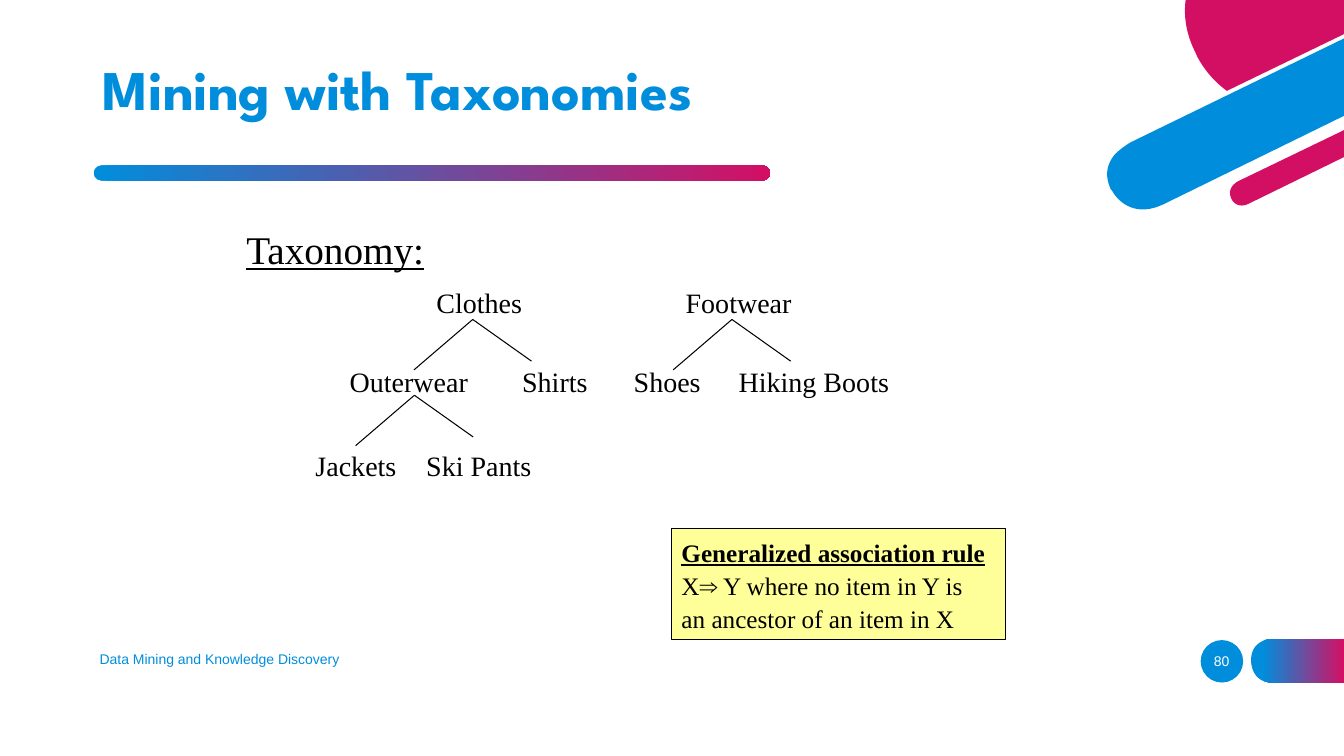
import pptx
import pptx.dml.color
import pptx.enum.shapes
import pptx.enum.text
import pptx.oxml
import pptx.oxml.ns
import pptx.util
from pptx.util import Cm

THEME = {
    "blue": "008EDC", "pink": "D30F64", "white": "FFFFFF",
    "black": "000000", "note": "FFFF99",
    "title_font": "League Spartan", "footer_font": "Arial",
    "body_font": "Times New Roman",
    "title": 40, "heading": 28, "node": 20, "rule": 18, "footer": 10,
    "hairline": 0.75,
}
ALIGN = pptx.enum.text.PP_ALIGN
SHAPES = pptx.enum.shapes.MSO_SHAPE


def paint(shape, fill, gradient_start=None):
    shape.shadow.inherit = False
    shape.line.fill.background()
    if gradient_start is None:
        shape.fill.solid()
        shape.fill.fore_color.rgb = pptx.dml.color.RGBColor.from_string(THEME[fill])
        return
    shape.fill.gradient()
    shape.fill.gradient_angle = 0
    for stop, colour, position in zip(
        shape.fill.gradient_stops, ("blue", "pink"), (gradient_start, 1)
    ):
        stop.color.rgb = pptx.dml.color.RGBColor.from_string(THEME[colour])
        stop.position = position


def write(shape, text, size, font, colour="black", align=ALIGN.LEFT, wrap=False, spacing=1.0):
    frame = shape.text_frame
    frame.text = text
    frame.word_wrap = wrap
    frame.vertical_anchor = pptx.enum.text.MSO_ANCHOR.MIDDLE
    for paragraph in frame.paragraphs:
        paragraph.alignment = align
        paragraph.line_spacing = spacing
        for run in paragraph.runs:
            run.font.size = pptx.util.Pt(THEME[size])
            run.font.name = THEME[font]
            run.font.color.rgb = pptx.dml.color.RGBColor.from_string(THEME[colour])
    return frame.paragraphs[0].runs[0].font


deck = pptx.Presentation()
deck.slide_width = Cm(33.86)
deck.slide_height = Cm(19.05)
slide = deck.slides.add_slide(deck.slide_layouts[6])
shapes = slide.shapes

page_disc = shapes.add_shape(SHAPES.OVAL, Cm(30.25), Cm(16.13), Cm(1.07), Cm(1.07))
paint(page_disc, "blue")

outlines = [
    ("gradient", (32.05, 17.2), [
        (33.86, 17.2), (33.86, 16.1), (32.05, 16.1),
        (32.05, 16.1, 31.52, 16.1, 31.52, 16.64), (31.52, 16.66),
        (31.52, 16.66, 31.52, 17.2, 32.05, 17.2)]),
    ("blue", (28.5, 3.58), [
        (33.86, 0.97), (33.86, 2.92), (29.29, 5.16),
        (28.42, 5.56, 28.02, 4.83, 28.02, 4.8), (27.99, 4.78),
        (27.84, 4.45, 27.86, 4.17, 28.09, 3.89),
        (28.27, 3.71, 28.5, 3.58, 28.5, 3.58)]),
    ("pink", (30.16, 1.42), [
        (30.16, 1.42, 30.4, 1.93, 30.91, 2.29),
        (33.86, 0.86), (33.86, 0), (29.87, 0),
        (29.82, 0.38, 29.87, 0.84, 30.12, 1.33)]),
    ("pink", (31.47, 5.13), [
        (31.17, 5.28, 31.04, 5.05, 31.03, 5.02), (31.02, 5),
        (30.89, 4.72, 31.19, 4.57, 31.19, 4.57),
        (33.86, 3.28), (33.86, 3.96)]),
]
CURVE_STEPS = 16
for fill, start, segments in outlines:
    points = [start]
    for segment in segments:
        if len(segment) == 2:
            points.append(segment)
            continue
        handles = points[-1] + segment
        for step in range(1, CURVE_STEPS + 1):
            t = step / CURVE_STEPS
            weights = ((1 - t) ** 3, 3 * t * (1 - t) ** 2, 3 * t * t * (1 - t), t ** 3)
            points.append(tuple(
                sum(w * v for w, v in zip(weights, handles[axis::2])) for axis in (0, 1)
            ))
    corners = [(Cm(x), Cm(y)) for x, y in points]
    builder = shapes.build_freeform(*corners[0])
    builder.add_line_segments(corners[1:], close=True)
    paint(builder.convert_to_shape(), fill, 0.12 if fill == "gradient" else None)

divider = shapes.add_shape(SHAPES.ROUNDED_RECTANGLE, Cm(2.36), Cm(4.17), Cm(17.04), Cm(0.38))
divider.adjustments[0] = 0.5
paint(divider, "gradient", 0)

footer = shapes.add_textbox(Cm(2.26), Cm(16.1), Cm(11.43), Cm(1.02))
write(footer, "Data Mining and Knowledge Discovery", "footer", "footer_font", "blue", wrap=True)
page_number = shapes.add_textbox(Cm(30.02), Cm(16.15), Cm(1.52), Cm(1.02))
write(page_number, "80", "footer", "footer_font", "white", ALIGN.CENTER, True)

title = shapes.add_textbox(Cm(2.34), Cm(1.02), Cm(25.15), Cm(2.62))
write(title, "Mining with Taxonomies", "title", "title_font", "blue", wrap=True, spacing=0.9).bold = True

heading = shapes.add_textbox(Cm(5.92), Cm(5.54), Cm(5.05), Cm(1.45))
write(heading, "Taxonomy:", "heading", "body_font", align=ALIGN.CENTER).underline = True

taxonomy_levels = [
    (7.08, [("Clothes", 10.74, 2.67), ("Footwear", 17.02, 3.18)]),
    (9.07, [("Outerwear", 8.56, 3.48), ("Shirts", 12.9, 2.16),
            ("Shoes", 15.72, 2.18), ("Hiking Boots", 18.36, 4.29)]),
    (11.18, [("Jackets", 7.7, 2.54), ("Ski Pants", 10.49, 3.15)]),
]
for top, categories in taxonomy_levels:
    for name, left, width in categories:
        category = shapes.add_textbox(Cm(left), Cm(top), Cm(width), Cm(1.09))
        write(category, name, "node", "body_font", align=ALIGN.CENTER)
        category.text_frame.margin_left = category.text_frame.margin_right = 0
        category.text_frame.auto_size = pptx.enum.text.MSO_AUTO_SIZE.NONE

for fork_x, fork_y in ((11.91, 8.05), (10.44, 9.96), (18.44, 8.05)):
    for across, down in ((-1.48, 1.27), (1.48, 1.05)):
        branch = shapes.add_connector(
            pptx.enum.shapes.MSO_CONNECTOR.STRAIGHT,
            Cm(fork_x), Cm(fork_y), Cm(fork_x + across), Cm(fork_y + down))
        branch.line.color.rgb = pptx.dml.color.RGBColor.from_string(THEME["black"])
        branch.line.width = pptx.util.Pt(THEME["hairline"])
        branch._element.spPr.append(pptx.oxml.parse_xml(
            "<a:effectLst %s/>" % pptx.oxml.ns.nsdecls("a")))

rule = shapes.add_shape(SHAPES.RECTANGLE, Cm(16.92), Cm(13.32), Cm(8.41), Cm(2.79))
paint(rule, "note")
rule.line.color.rgb = pptx.dml.color.RGBColor.from_string(THEME["black"])
rule.line.width = pptx.util.Pt(THEME["hairline"])
rule_name = write(
    rule,
    "Generalized association rule\nX⇒ Y where no item in Y is\nan ancestor of an item in X",
    "rule", "body_font", spacing=1.1)
rule_name.bold = True
rule_name.underline = True

deck.save("out.pptx")
